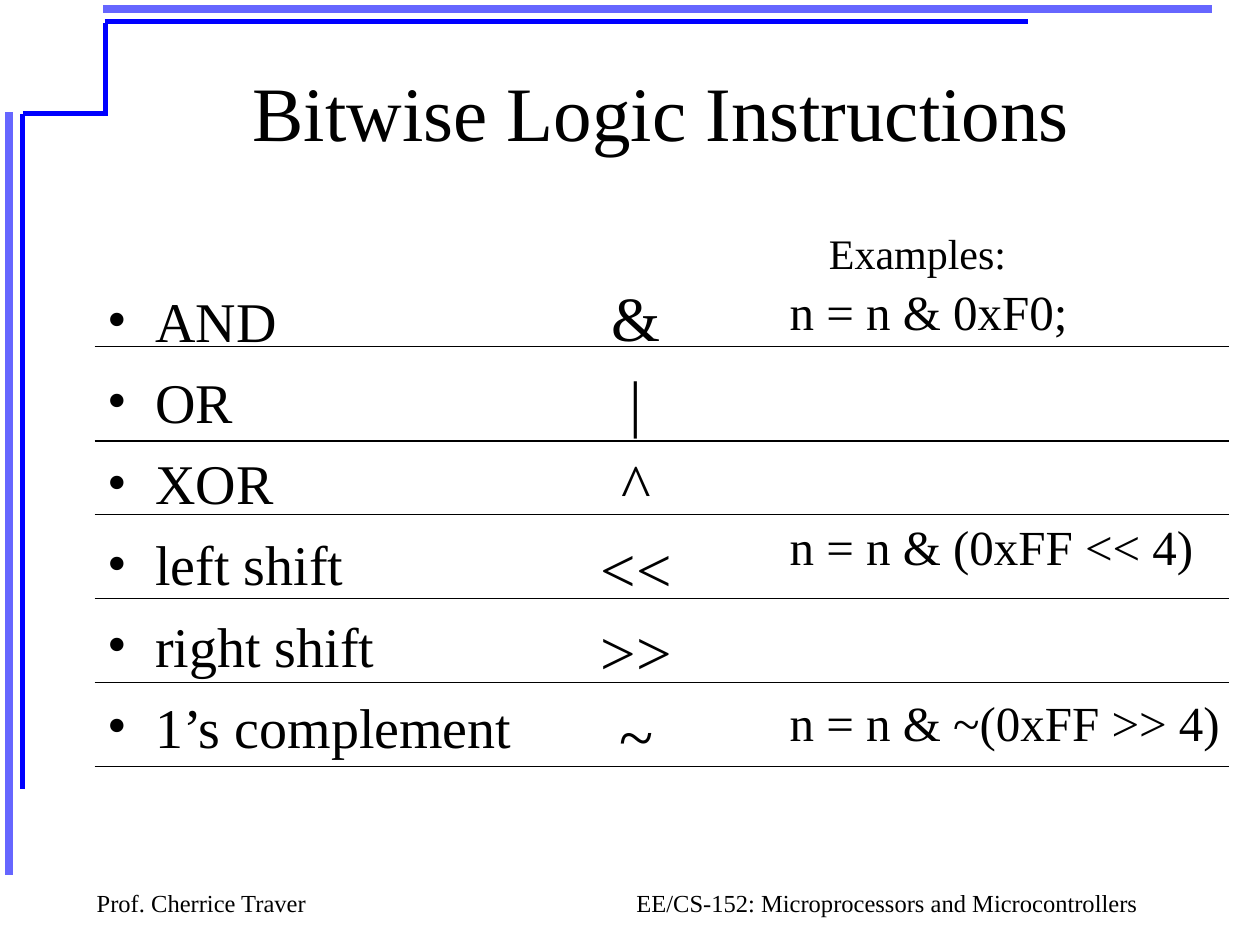
import pptx
import pptx.dml.color
import pptx.enum.shapes
import pptx.enum.text
import pptx.oxml.ns
import pptx.util
from lxml import etree

Cm = pptx.util.Cm
Pt = pptx.util.Pt
Align = pptx.enum.text.PP_ALIGN
Anchor = pptx.enum.text.MSO_ANCHOR

BLACK = pptx.dml.color.RGBColor(0x00, 0x00, 0x00)
BLUE = pptx.dml.color.RGBColor(0x00, 0x00, 0xFF)
PALE = pptx.dml.color.RGBColor(0x66, 0x66, 0xFF)
FONT = "Times New Roman"

PALE_RAILS = [(0.18, 2.26, 0.18, 17.63), (2.08, 0.18, 24.43, 0.18)]
BLUE_RAILS = [
    (0.46, 2.29, 0.46, 15.9),
    (2.11, 0.43, 20.73, 0.43),
    (0.46, 2.29, 2.16, 2.29),
    (2.13, 2.34, 2.13, 0.46),
]
RULES = [6.99, 8.89, 10.37, 12.07, 13.76, 15.45]

NAMES = ["AND", "OR", "XOR", "left shift", "right shift", "1’s complement"]
SIGNS = ["&", "|", "^", "<<", ">>", "~"]
CODE = ["n = n & 0xF0;", "n = n & (0xFF << 4)", "n = n & ~(0xFF >> 4)"]


def add_line(slide, ends, color, width):
    line = slide.shapes.add_connector(
        pptx.enum.shapes.MSO_CONNECTOR.STRAIGHT, *map(Cm, ends))
    line.line.color.rgb = color
    line.line.width = Pt(width)
    etree.SubElement(line._element.spPr, pptx.oxml.ns.qn("a:effectLst"))


def add_bullet(para):
    props = para._p.get_or_add_pPr()
    props.set("marL", str(Cm(0.97)))
    props.set("indent", str(-Cm(0.97)))
    face = etree.SubElement(props, pptx.oxml.ns.qn("a:buFont"))
    face.set("typeface", FONT)
    mark = etree.SubElement(props, pptx.oxml.ns.qn("a:buChar"))
    mark.set("char", "•")


def add_text(slide, area, lines, size, align=Align.LEFT, top=0.13,
             gaps=(), bullet=False, anchor=Anchor.TOP):
    """Add one paragraph per line; gaps are the points between lines."""
    box = slide.shapes.add_textbox(*map(Cm, area))
    frame = box.text_frame
    frame.word_wrap = True
    frame.vertical_anchor = anchor
    frame.margin_top = Cm(top)
    if align == Align.CENTER:
        frame.margin_left = frame.margin_right = 0
    for i, text in enumerate(lines):
        para = frame.paragraphs[0] if i == 0 else frame.add_paragraph()
        para.text = text
        para.alignment = align
        if i:
            para.space_before = Pt(gaps[i - 1])
        if bullet:
            add_bullet(para)
        para.font.name = FONT
        para.font.size = Pt(size)
        para.font.color.rgb = BLACK


def add_frame(slide):
    for ends in PALE_RAILS:
        add_line(slide, ends, PALE, 4.5)
    for ends in BLUE_RAILS:
        add_line(slide, ends, BLUE, 3)


def add_foot(slide):
    add_text(slide, (1.7, 17.78, 7.82, 0.84), ["Prof. Cherrice Traver"], 14)
    add_text(slide, (12.27, 17.78, 11.23, 0.84),
             ["EE/CS-152: Microprocessors and Microcontrollers"], 14,
             Align.CENTER)


def add_rows(slide):
    count = len(NAMES) - 1
    add_text(slide, (1.91, 4.02, 9.1, 12.78), NAMES, 32, top=1.75,
             gaps=[8] * count, bullet=True)
    add_text(slide, (11.86, 5.49, 1.93, 10.21), SIGNS, 36, Align.CENTER,
             gaps=[4.5] * count)
    add_text(slide, (15.67, 5.54, 9.4, 10.95), CODE, 28, gaps=[101, 67])
    for y in RULES:
        add_line(slide, (1.91, y, 24.77, y), BLACK, 0.75)
    add_text(slide, (16.46, 4.45, 4.2, 1.27), ["Examples:"], 24)


def main():
    deck = pptx.Presentation()
    deck.slide_width = Cm(25.4)
    deck.slide_height = Cm(19.05)
    slide = deck.slides.add_slide(deck.slide_layouts[6])
    add_frame(slide)
    add_foot(slide)
    add_text(slide, (2.54, 0.64, 21.59, 3.18),
             ["Bitwise Logic Instructions"], 44, Align.CENTER,
             anchor=Anchor.MIDDLE)
    add_rows(slide)
    deck.save("out.pptx")


if __name__ == "__main__":
    main()
